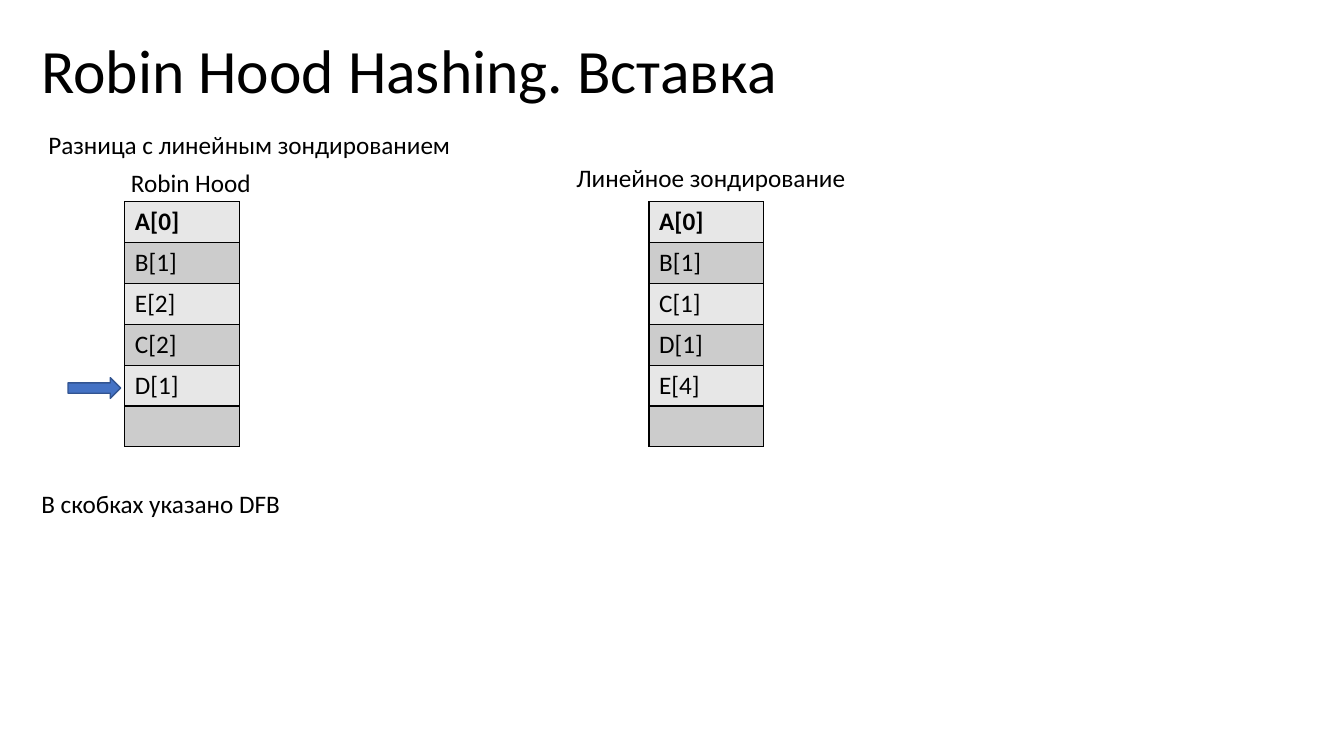
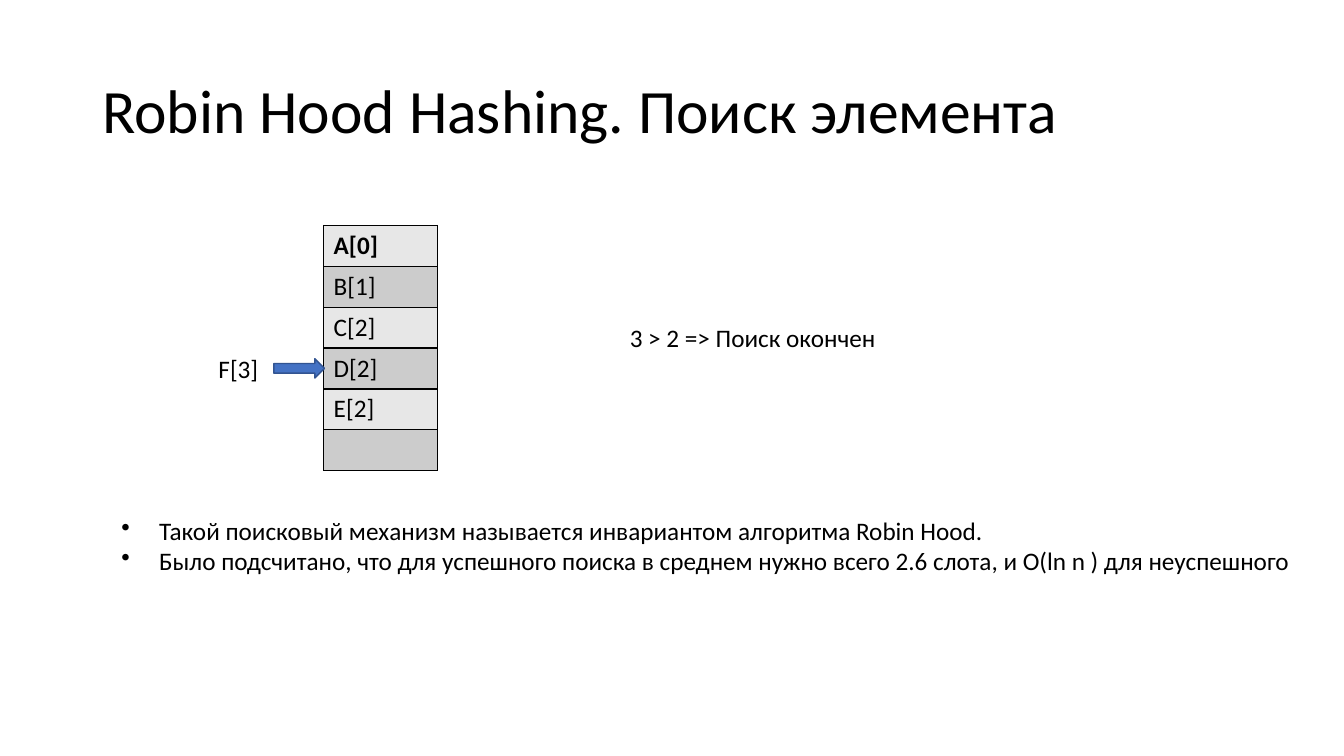
from lxml import etree
from pptx import Presentation
from pptx.dml.color import RGBColor
from pptx.enum.shapes import MSO_SHAPE
from pptx.enum.text import MSO_ANCHOR
from pptx.oxml.ns import qn
from pptx.util import Pt

ARROW = MSO_SHAPE.RIGHT_ARROW
MIDDLE, TOP = MSO_ANCHOR.MIDDLE, MSO_ANCHOR.TOP
FONT = "Calibri"
BLACK, BLUE, NAVY = "000000", "4472C4", "325491"
BANDS = ["E7E7E7", "CCCCCC"]
COL, ROW = 81.6, 29.2
INDENT = 27


def color(target, value):
    """Set a fill or a font to a hex colour."""
    if hasattr(target, "solid"):
        target.solid()
        target.fore_color.rgb = RGBColor.from_string(value)
    else:
        target.color.rgb = RGBColor.from_string(value)


def write(frame, text, size=18, bold=False, anchor=TOP, space=1.0, bullet=None):
    frame.word_wrap = True
    frame.vertical_anchor = anchor
    for i, line in enumerate(text.split("\n")):
        para = frame.add_paragraph() if i else frame.paragraphs[0]
        para.line_spacing = space
        para.font.size = Pt(size)
        run = para.add_run()
        run.text = line
        run.font.name, run.font.size, run.font.bold = FONT, Pt(size), bold
        color(run.font, BLACK)
        if bullet:
            props = para._p.get_or_add_pPr()
            props.set("marL", str(Pt(INDENT)))
            props.set("indent", str(-Pt(INDENT)))
            mark = etree.Element(qn("a:buChar"), char=bullet)
            props.insert_element_before(mark, "a:tabLst", "a:defRPr", "a:extLst")


# Slide content: title, tables, arrow and labels
slides = [
    dict(
        title=("Robin Hood Hashing. Вставка", 22.4, 0),
        tables=[
            (89.2, 144, ["A[0]", "B[1]", "E[2]", "C[2]", "D[1]", ""]),
            (463.6, 144, ["A[0]", "B[1]", "C[1]", "D[1]", "E[4]", ""]),
        ],
        arrow=(48.6, 269.8, 37.6, 14.8),
        labels=[
            ("В скобках указано DFB", 22.4, 345, 190, None),
            ("Разница с линейным зондированием", 27.4, 89, 307, None),
            ("Robin Hood", 86.4, 116, 104, None),
            ("Линейное зондирование", 404.6, 112.4, 212, None),
        ],
    ),
    dict(
        title=("Robin Hood Hashing. Поиск элемента", 66, 28.8),
        tables=[(231.2, 161, ["A[0]", "B[1]", "C[2]", "D[2]", "E[2]", ""])],
        arrow=(195.6, 256.2, 36.2, 13.8),
        labels=[
            ("F[3]", 149, 249, 45, None),
            ("3 > 2 => Поиск окончен", 442.8, 227, 196, None),
            ("Такой поисковый механизм называется инвариантом алгоритма Robin Hood.\n"
             "Было подсчитано, что для успешного поиска в среднем нужно всего 2.6 слота, "
             "и O(ln n ) для неуспешного", 79.6, 364.4, 862, "•"),
        ],
    ),
]

deck = Presentation()
deck.slide_width, deck.slide_height = Pt(960), Pt(540)

for page in slides:
    shapes = deck.slides.add_slide(deck.slide_layouts[6]).shapes

    # Title
    text, x, y = page["title"]
    box = shapes.add_textbox(Pt(x), Pt(y), Pt(828), Pt(104.4))
    write(box.text_frame, text, size=44, anchor=MIDDLE, space=0.9)

    # Hash tables
    for x, y, slots in page["tables"]:
        grid = shapes.add_table(len(slots), 1, Pt(x), Pt(y),
                                Pt(COL), Pt(ROW * len(slots))).table
        for i, slot in enumerate(slots):
            grid.rows[i].height = Pt(ROW)
            cell = grid.cell(i, 0)
            props = cell._tc.get_or_add_tcPr()
            for side in ("lnL", "lnR", "lnT", "lnB"):
                edge = etree.SubElement(props, qn("a:" + side), w=str(Pt(1)))
                fill = etree.SubElement(edge, qn("a:solidFill"))
                etree.SubElement(fill, qn("a:srgbClr"), val=BLACK)
            color(cell.fill, BANDS[i % 2])
            write(cell.text_frame, slot, bold=i == 0)

    # Arrow to the current slot
    arrow = shapes.add_shape(ARROW, *map(Pt, page["arrow"]))
    arrow.shadow.inherit = False
    color(arrow.fill, BLUE)
    color(arrow.line.fill, NAVY)
    arrow.line.width = Pt(1)

    # Labels
    for text, x, y, width, bullet in page["labels"]:
        height = 29 + 22 * text.count("\n")
        box = shapes.add_textbox(Pt(x), Pt(y), Pt(width), Pt(height))
        write(box.text_frame, text, bullet=bullet)

deck.save("out.pptx")
